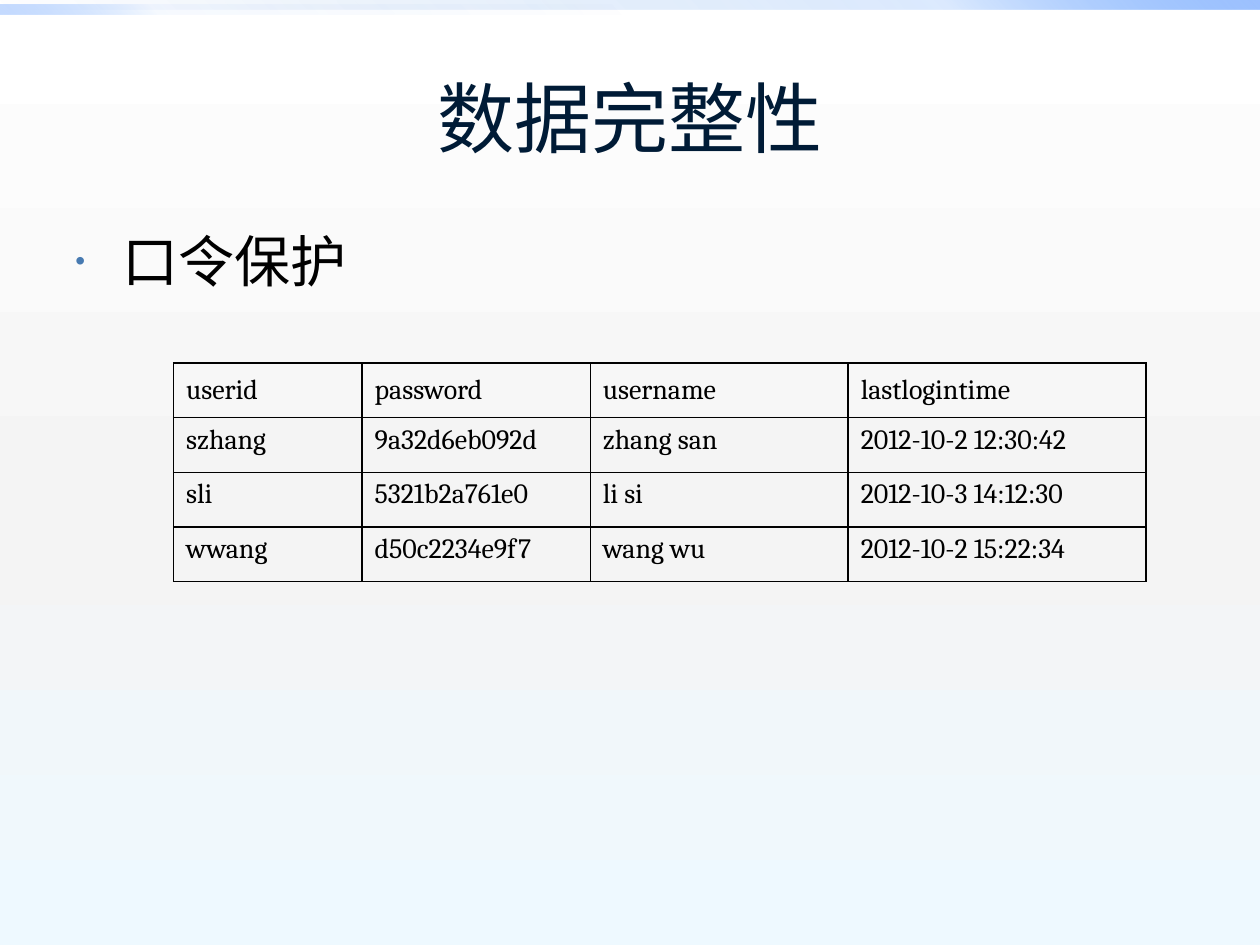
from lxml import etree
from pptx import Presentation
from pptx.dml.color import RGBColor
from pptx.enum import shapes, text
from pptx.oxml import ns
from pptx.util import Cm, Pt

# Content
TITLE = "数据完整性"
TOPIC = "口令保护"
ACCOUNTS = [
    ("userid", "password", "username", "lastlogintime"),
    ("szhang", "9a32d6eb092d", "zhang san", "2012-10-2 12:30:42"),
    ("sli", "5321b2a761e0", "li si", "2012-10-3 14:12:30"),
    ("wwang", "d50c2234e9f7", "wang wu", "2012-10-2 15:22:34"),
]
COLUMN_WIDTHS = (3.8, 4.6, 5.2, 6)  # cm
ROW_HEIGHT = 1.1

# Gradients: (position %, colour, opacity %), then angle in degrees
BACKDROP = [(0, "FFFFFF", 100), (55, "F4F4F4", 100), (100, "EEF9FF", 100)], 90
BANDS = [  # top, width, gradient
    (0, 25.4, ([(0, "0058B7", 0), (75, "4F95FF", 20), (100, "9EC2FF", 100)], 315)),
    (0.1, 12.7, ([(0, "0058B7", 0), (75, "4F95FF", 5), (100, "9EC2FF", 60)], 135)),
]


def add(parent, tag, **attributes):
    child = etree.SubElement(parent, ns.qn(tag))
    for key, value in attributes.items():
        child.set(key, str(value))
    return child


def set_gradient(fill, owner, gradient):
    """Give the fill, which sits in the owner element, a linear gradient."""
    stops, angle = gradient
    fill.solid()
    solid = owner.find(ns.qn("a:solidFill"))
    grad = etree.Element(ns.qn("a:gradFill"), rotWithShape="1")
    stop_list = add(grad, "a:gsLst")
    for position, colour, opacity in stops:
        stop = add(stop_list, "a:gs", pos=position * 1000)
        tint = add(stop, "a:srgbClr", val=colour)
        if opacity < 100:
            add(tint, "a:alpha", val=opacity * 1000)
    add(grad, "a:lin", ang=angle * 60000, scaled=0)
    owner.replace(solid, grad)


def set_font(paragraph, name, size, colour):
    paragraph.font.name = name
    paragraph.font.size = Pt(size)
    paragraph.font.color.rgb = RGBColor.from_string(colour)


def add_borders(cell, colour, width):
    properties = cell._tc.get_or_add_tcPr()
    for index, side in enumerate(("a:lnL", "a:lnR", "a:lnT", "a:lnB")):
        line = etree.Element(ns.qn(side), w=str(Pt(width)))
        add(add(line, "a:solidFill"), "a:srgbClr", val=colour)
        properties.insert(index, line)


prs = Presentation()
prs.slide_width, prs.slide_height = Cm(25.4), Cm(19.05)
slide = prs.slides.add_slide(prs.slide_layouts[5])

# Background and top bands
backdrop_fill = slide.background.fill
backdrop_fill.solid()
set_gradient(backdrop_fill, slide.element.find(".//" + ns.qn("p:bgPr")), BACKDROP)
for top, width, gradient in BANDS:
    band = slide.shapes.add_shape(
        shapes.MSO_SHAPE.RECTANGLE, 0, Cm(top), Cm(width), Cm(0.2))
    band.shadow.inherit = False
    band.line.fill.background()
    set_gradient(band.fill, band.element.spPr, gradient)

# Title
title = slide.shapes.title
title.left, title.top, title.width, title.height = Cm(1.27), Cm(0.76), Cm(22.86), Cm(3.18)
title.text_frame.text = TITLE
title.text_frame.vertical_anchor = text.MSO_ANCHOR.MIDDLE
heading = title.text_frame.paragraphs[0]
heading.alignment = text.PP_ALIGN.CENTER
set_font(heading, "Calibri", 44, "001B36")

# Bulleted topic
body = slide.shapes.add_textbox(Cm(1.27), Cm(4.45), Cm(22.86), Cm(12.57))
body.text_frame.word_wrap = True
topic = body.text_frame.paragraphs[0]
topic.text = TOPIC
topic.space_before = Pt(6.4)
bullet = topic._p.get_or_add_pPr()
bullet.set("marL", str(Cm(0.95)))
bullet.set("indent", str(Cm(-0.95)))
add(add(bullet, "a:buClr"), "a:srgbClr", val="477AB1")
add(bullet, "a:buSzPct", val=50000)
add(bullet, "a:buFont", typeface="Arial")
add(bullet, "a:buChar", char="•")
set_font(topic, "Cambria", 32, "000000")

# Account table
table = slide.shapes.add_table(
    len(ACCOUNTS), len(COLUMN_WIDTHS), Cm(3.5), Cm(7.32),
    Cm(sum(COLUMN_WIDTHS)), Cm(ROW_HEIGHT * len(ACCOUNTS))).table
table.first_row = table.horz_banding = False
for column, width in zip(table.columns, COLUMN_WIDTHS):
    column.width = Cm(width)
for r, account in enumerate(ACCOUNTS):
    table.rows[r].height = Cm(ROW_HEIGHT)
    for c, value in enumerate(account):
        cell = table.cell(r, c)
        cell.text = value
        cell.vertical_anchor = text.MSO_ANCHOR.TOP if r else text.MSO_ANCHOR.MIDDLE
        cell.fill.background()
        add_borders(cell, "000000", 1)
        set_font(cell.text_frame.paragraphs[0], "Cambria", 16, "000000")

prs.save("out.pptx")
